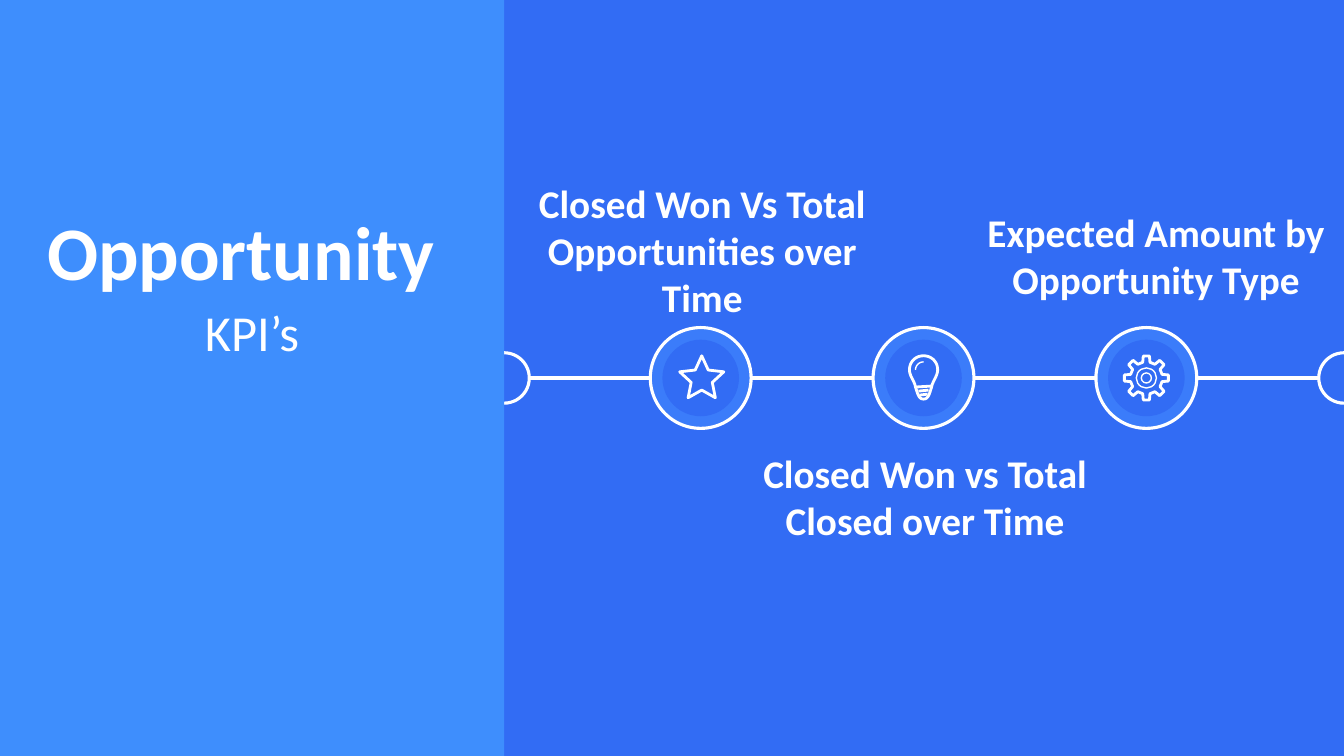
from dataclasses import dataclass
from math import cos, radians, sin

from lxml.etree import SubElement
from pptx import Presentation
from pptx.dml.color import RGBColor
from pptx.enum.shapes import MSO_CONNECTOR as Connector, MSO_SHAPE as Shape
from pptx.enum.text import MSO_AUTO_SIZE as AutoSize, PP_ALIGN as Align
from pptx.oxml.ns import qn
from pptx.util import Inches, Pt


@dataclass(frozen=True)
class Theme:
    font: str = "Calibri"
    background: RGBColor = RGBColor(0x32, 0x6C, 0xF4)
    panel: RGBColor = RGBColor(0x3E, 0x8E, 0xFD)
    ring: RGBColor = RGBColor(0x3B, 0x7C, 0xFA)
    white: RGBColor = RGBColor(0xFF, 0xFF, 0xFF)
    title_size: int = 54
    subtitle_size: int = 36
    label_size: int = 28
    line_width: float = 2.25
    icon_width: float = 2
    detail_width: float = 1


THEME = Theme()
TEXTS = [
    ("Opportunity", (0.37, 1.98, 4.14, 1.01), THEME.title_size, True, Align.LEFT),
    ("KPI’s", (0.43, 2.94, 4.14, 0.71), THEME.subtitle_size, False, Align.CENTER),
    ("Closed Won Vs Total Opportunities over Time", (4.95, 1.73, 4.03, 1.51), THEME.label_size, True, Align.CENTER),
    ("Expected Amount by Opportunity Type", (9.45, 2.02, 4.03, 1.04), THEME.label_size, True, Align.CENTER),
    ("Closed Won vs Total Closed over Time", (7.16, 4.41, 4.03, 1.04), THEME.label_size, True, Align.CENTER),
]
AXIS_Y = 3.75
END_CENTERS = [5, 13.33]
END_SIZE, RING_SIZE, DISC_SIZE = 0.5, 1, 0.76
FIRST_CENTER, STEP = 6.95, 2.21
FIRST_LINE, LINE_LENGTH = 5.24, 1.2
BULB_CURVES = [
    [(0, -0.14), (0.08, -0.14), (0.14, -0.08), (0.14, 0)],
    [(0.14, 0.06), (0.09, 0.11), (0.08, 0.17)],
    [(0.06, 0.23), (0.05, 0.29), (0, 0.29)],
]
BULB_THREADS = [(0.08, 0.17), (0.05, 0.21), (0.04, 0.25)]
GEAR_TOOTH = [(-13, 0.16), (-8, 0.22), (8, 0.22), (13, 0.16)]
GEAR_RINGS = [0.1, 0.05]


def polar(angle, radius):
    return radius * sin(radians(angle)), -radius * cos(radians(angle))


def bezier(start, first, second, end, steps=12):
    for step in range(1, steps + 1):
        t = step / steps
        weights = ((1 - t) ** 3, 3 * t * (1 - t) ** 2, 3 * t * t * (1 - t), t ** 3)
        points = (start, first, second, end)
        yield tuple(sum(w * p[axis] for w, p in zip(weights, points)) for axis in (0, 1))


def style(shape, fill=None, width=None):
    shape.shadow.inherit = False
    if fill is None:
        shape.fill.background()
    else:
        shape.fill.solid()
        shape.fill.fore_color.rgb = fill
    if width is None:
        shape.line.fill.background()
    else:
        shape.line.color.rgb = THEME.white
        shape.line.width = Pt(width)


def add_circle(slide, x, y, size, fill=None, width=None):
    box = [Inches(value) for value in (x - size / 2, y - size / 2, size, size)]
    style(slide.shapes.add_shape(Shape.OVAL, *box), fill, width)


def add_line(slide, left):
    line = slide.shapes.add_connector(
        Connector.STRAIGHT, Inches(left), Inches(AXIS_Y), Inches(left + LINE_LENGTH), Inches(AXIS_Y))
    line.line.color.rgb = THEME.white
    line.line.width = Pt(THEME.line_width)
    SubElement(line.element.spPr, qn("a:effectLst"))


def add_text(slide, text, box, size, bold, alignment):
    frame = slide.shapes.add_textbox(*[Inches(value) for value in box]).text_frame
    frame.word_wrap = True
    frame.auto_size = AutoSize.SHAPE_TO_FIT_TEXT
    paragraph = frame.paragraphs[0]
    paragraph.text = text
    paragraph.alignment = alignment
    font = paragraph.runs[0].font
    font.name, font.size, font.bold = THEME.font, Pt(size), bold
    font.color.rgb = THEME.white


def add_outline(slide, x, y, points, width=THEME.icon_width, close=True):
    places = [(Inches(x + dx), Inches(y + dy)) for dx, dy in points]
    builder = slide.shapes.build_freeform(*places[0])
    builder.add_line_segments(places[1:], close=close)
    style(builder.convert_to_shape(), width=width)


def add_star(slide, x, y):
    add_outline(slide, x + 0.01, y + 0.01, [polar(36 * i, 0.11 if i % 2 else 0.23) for i in range(10)])


def add_bulb(slide, x, y):
    center_y = y - 0.08
    half = [BULB_CURVES[0][0]]
    for curve in BULB_CURVES:
        half.extend(bezier(half[-1], *curve[-3:]))
    mirrored = [(-dx, dy) for dx, dy in reversed(half[1:-1])]
    add_outline(slide, x, center_y, half + mirrored)
    for reach, drop in BULB_THREADS:
        add_outline(slide, x, center_y, [(-reach, drop), (reach, drop - 0.01)], close=False)
    glint = [polar(angle, 0.08) for angle in range(-90, 1, 10)]
    add_outline(slide, x, center_y, glint, THEME.detail_width, close=False)


def add_gear(slide, x, y):
    add_outline(slide, x, y, [polar(45 * i + a, r) for i in range(8) for a, r in GEAR_TOOTH])
    for radius in GEAR_RINGS:
        add_circle(slide, x, y, 2 * radius, width=THEME.detail_width)


def main():
    presentation = Presentation()
    presentation.slide_width, presentation.slide_height = Inches(13.33), Inches(7.5)
    slide = presentation.slides.add_slide(presentation.slide_layouts[6])
    slide.background.fill.solid()
    slide.background.fill.fore_color.rgb = THEME.background

    for center in END_CENTERS:
        add_circle(slide, center, AXIS_Y, END_SIZE, THEME.background, THEME.line_width)
    panel = slide.shapes.add_shape(Shape.RECTANGLE, 0, 0, Inches(5), Inches(7.5))
    style(panel, THEME.panel)

    icons = [add_star, add_bulb, add_gear]
    for index in range(len(icons) + 1):
        add_line(slide, FIRST_LINE + index * STEP)
    for index, add_icon in enumerate(icons):
        center = FIRST_CENTER + index * STEP
        add_circle(slide, center, AXIS_Y, RING_SIZE, THEME.ring, THEME.line_width)
        add_circle(slide, center, AXIS_Y, DISC_SIZE, THEME.background)
        add_icon(slide, center, AXIS_Y)
    for entry in TEXTS:
        add_text(slide, *entry)
    presentation.save("out.pptx")


if __name__ == "__main__":
    main()
